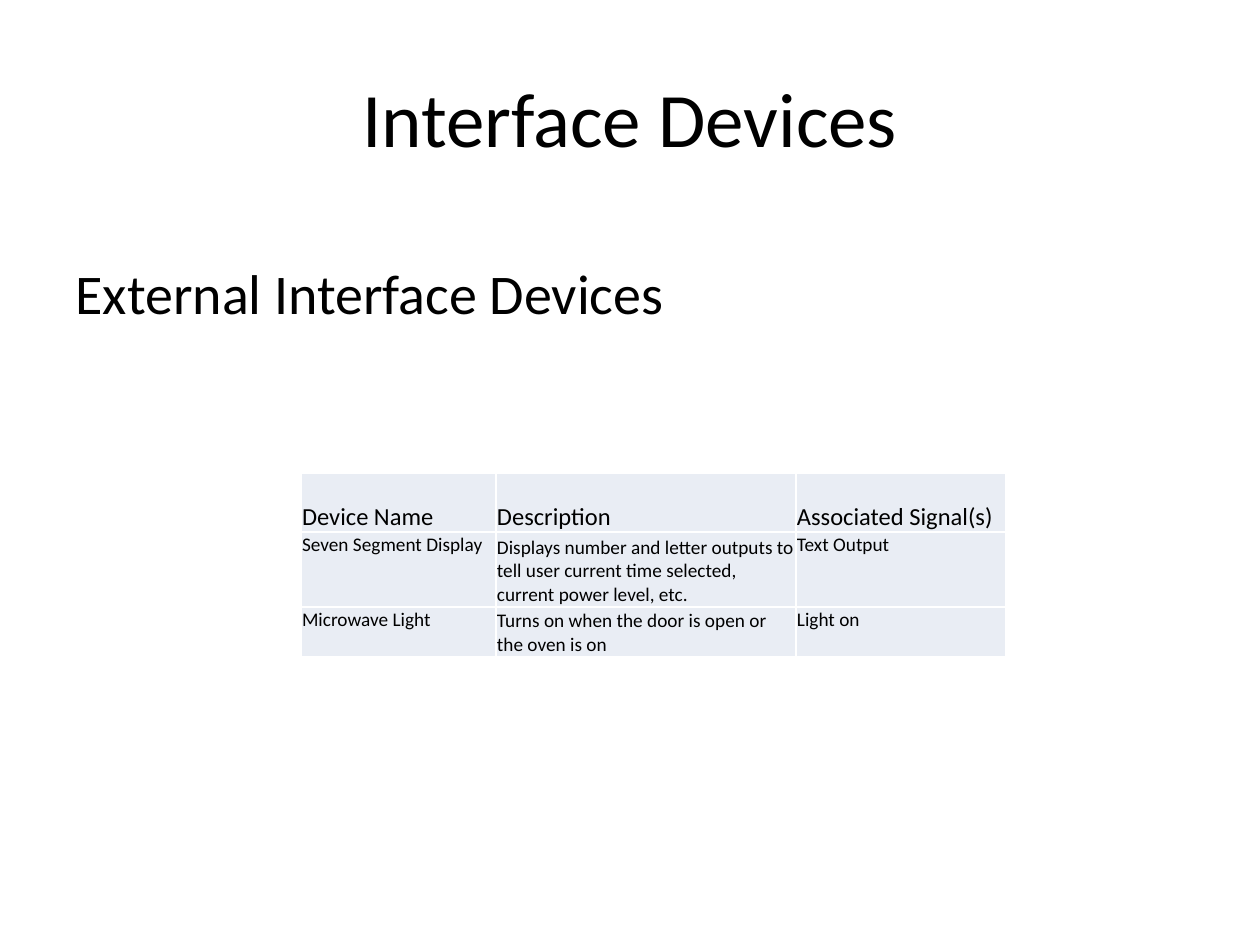
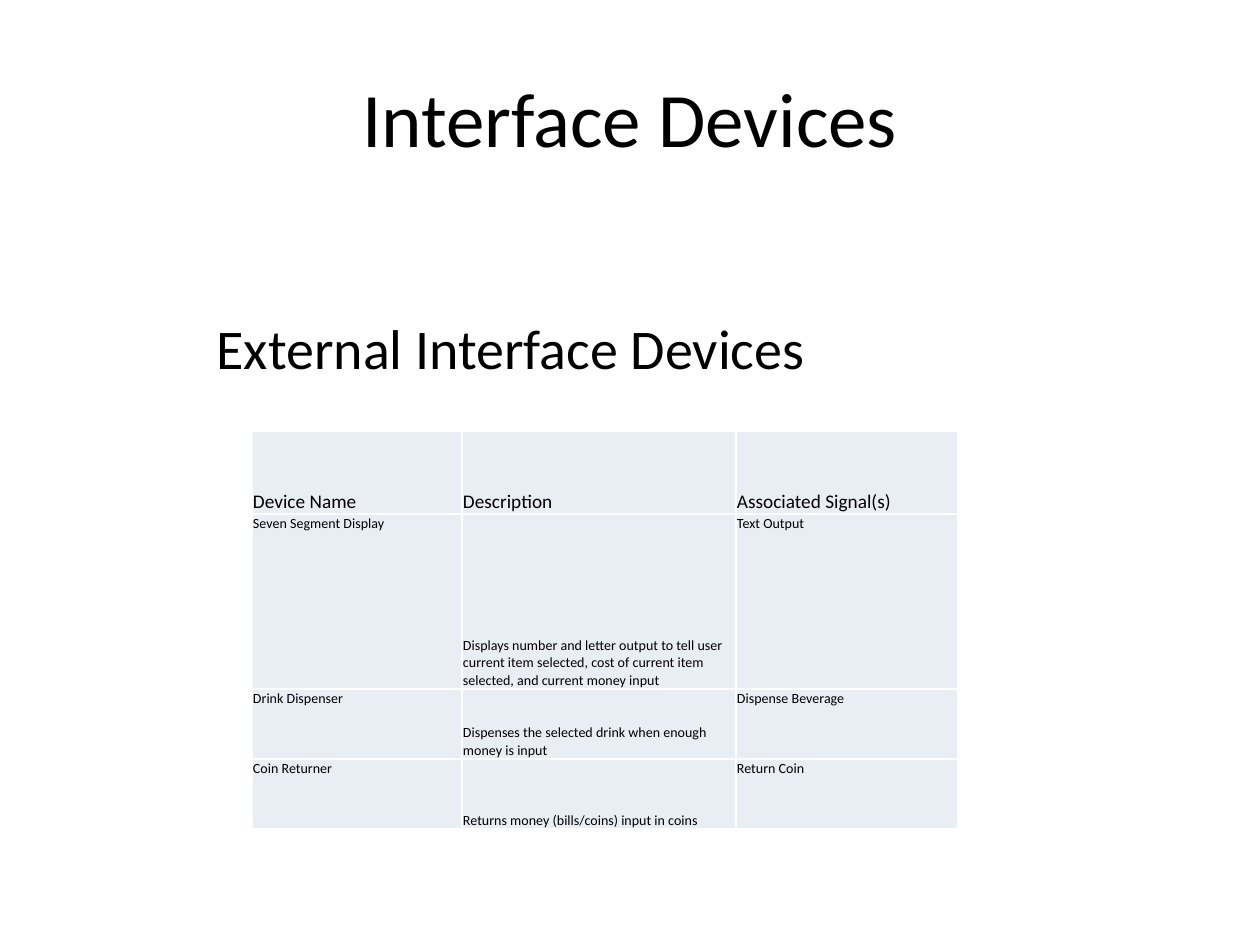
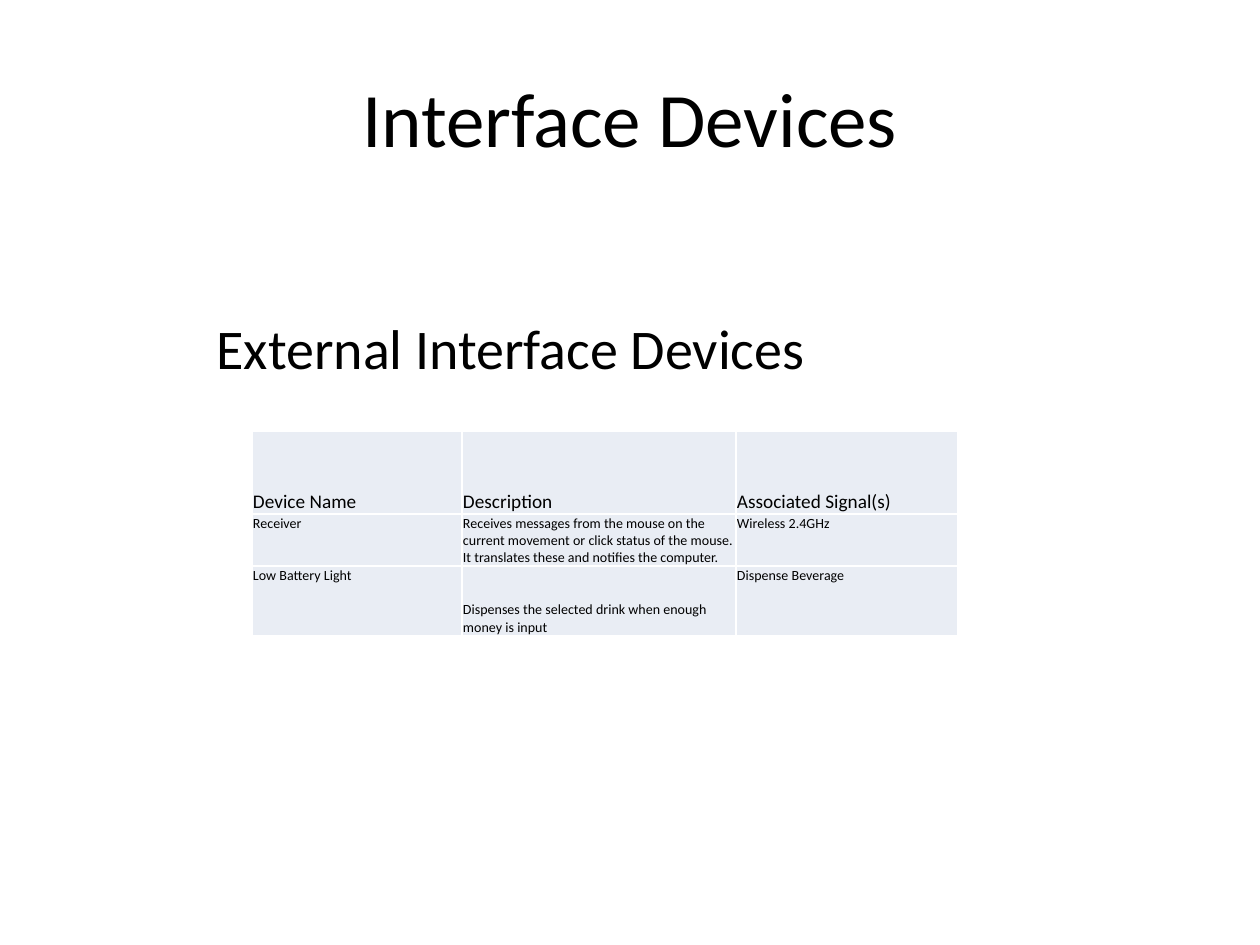
from dataclasses import dataclass

from lxml.etree import SubElement
from pptx import Presentation
from pptx.dml.color import RGBColor as RGB
from pptx.enum.text import MSO_ANCHOR as ANCHOR, PP_ALIGN as ALIGN
from pptx.oxml.ns import qn
from pptx.util import Pt

PX = 914400 // 126  # EMU in one pixel

TITLE = "Interface Devices"
HEADING = "External Interface Devices"
HEADER = ("Device Name", "Description", "Associated Signal(s)")
DRINK = ("Dispenses the selected drink when enough money is input",
         "Dispense Beverage")

TITLE_BOX = (63, 38, 1134, 157)
WIDE = dict(heading=(63, 252, 1134, 624), origin=(301, 473),
            cols=(195, 300, 210), head_size=14, body_size=11)
NARROW = dict(heading=(204, 307, 851, 467), origin=(252, 431),
              cols=(210, 274, 222), head_size=11, body_size=8)

# Each slide: layout, row heights, device rows
SLIDES = [
    (WIDE, (59, 75, 50), [
        ("Seven Segment Display",
         "Displays number and letter outputs to tell user current time "
         "selected, current power level, etc.", "Text Output"),
        ("Microwave Light",
         "Turns on when the door is open or the oven is on", "Light on"),
    ]),
    (NARROW, (83, 175, 70, 70), [
        ("Seven Segment Display",
         "Displays number and letter output to tell user current item "
         "selected, cost of current item selected, and current money input",
         "Text Output"),
        ("Drink Dispenser", *DRINK),
        ("Coin Returner", "Returns money (bills/coins) input in coins",
         "Return Coin"),
    ]),
    (NARROW, (83, 52, 70), [
        ("Receiver",
         "Receives messages from the mouse on the current movement or click "
         "status of the mouse. It translates these and notifies the computer.",
         "Wireless 2.4GHz"),
        ("Low Battery Light", *DRINK),
    ]),
]


@dataclass(frozen=True)
class Theme:
    """Colours, font and type sizes shared by all slides."""
    text: str = "000000"
    cell: str = "E9EDF4"
    border: str = "FFFFFF"
    font: str = "Calibri"
    title: int = 44
    heading: int = 32


THEME = Theme()


def write(tf, text, size):
    """Put styled text in a frame and return its paragraph."""
    tf.text = text
    p = tf.paragraphs[0]
    font = p.runs[0].font
    font.name, font.size, font.bold = THEME.font, Pt(size), False
    font.color.rgb = RGB.from_string(THEME.text)
    return p


def add_text(s, box, text, size, anchor=ANCHOR.TOP):
    """Add a wrapping text box and return its paragraph."""
    tf = s.shapes.add_textbox(*(v * PX for v in box)).text_frame
    tf.word_wrap = True
    tf.vertical_anchor = anchor
    return write(tf, text, size)


def add_borders(cell):
    """Draw a thin line on all four sides of a cell."""
    tc_pr = cell._tc.get_or_add_tcPr()
    for side in ("lnL", "lnR", "lnT", "lnB"):
        ln = SubElement(tc_pr, qn(f"a:{side}"), w=str(Pt(1)))
        fill = SubElement(ln, qn("a:solidFill"))
        SubElement(fill, qn("a:srgbClr"), val=THEME.border)


def style_cell(cell, text, size, anchor):
    """Fill one table cell with text, borders and colour."""
    cell.margin_left = cell.margin_right = cell.margin_top = PX
    cell.margin_bottom = 0
    cell.vertical_anchor = anchor
    write(cell.text_frame, text, size)
    add_borders(cell)
    cell.fill.solid()
    cell.fill.fore_color.rgb = RGB.from_string(THEME.cell)


def add_devices(s, layout, heights, devices):
    """Add the table of devices below its header row."""
    cols, rows = layout["cols"], [HEADER, *devices]
    box = (*layout["origin"], sum(cols), sum(heights))
    table = s.shapes.add_table(len(rows), len(cols),
                               *(v * PX for v in box)).table
    table.first_row = table.horz_banding = False
    for column, width in zip(table.columns, cols):
        column.width = width * PX
    for i, (height, row) in enumerate(zip(heights, rows)):
        table.rows[i].height = height * PX
        size = layout["body_size"] if i else layout["head_size"]
        for j, text in enumerate(row):
            low = i == 0 or j == 1
            style_cell(table.cell(i, j), text, size,
                       ANCHOR.BOTTOM if low else ANCHOR.TOP)


def add_slide(prs, layout, heights, devices):
    """Add a slide with title, heading and device table."""
    s = prs.slides.add_slide(prs.slide_layouts[6])
    p = add_text(s, TITLE_BOX, TITLE, THEME.title, ANCHOR.MIDDLE)
    p.alignment = ALIGN.CENTER
    p = add_text(s, layout["heading"], HEADING, THEME.heading)
    p.space_before = Pt(THEME.heading * 0.2)
    add_devices(s, layout, heights, devices)


prs = Presentation()
prs.slide_width, prs.slide_height = 1260 * PX, 945 * PX
for layout, heights, devices in SLIDES:
    add_slide(prs, layout, heights, devices)
prs.save("out.pptx")
